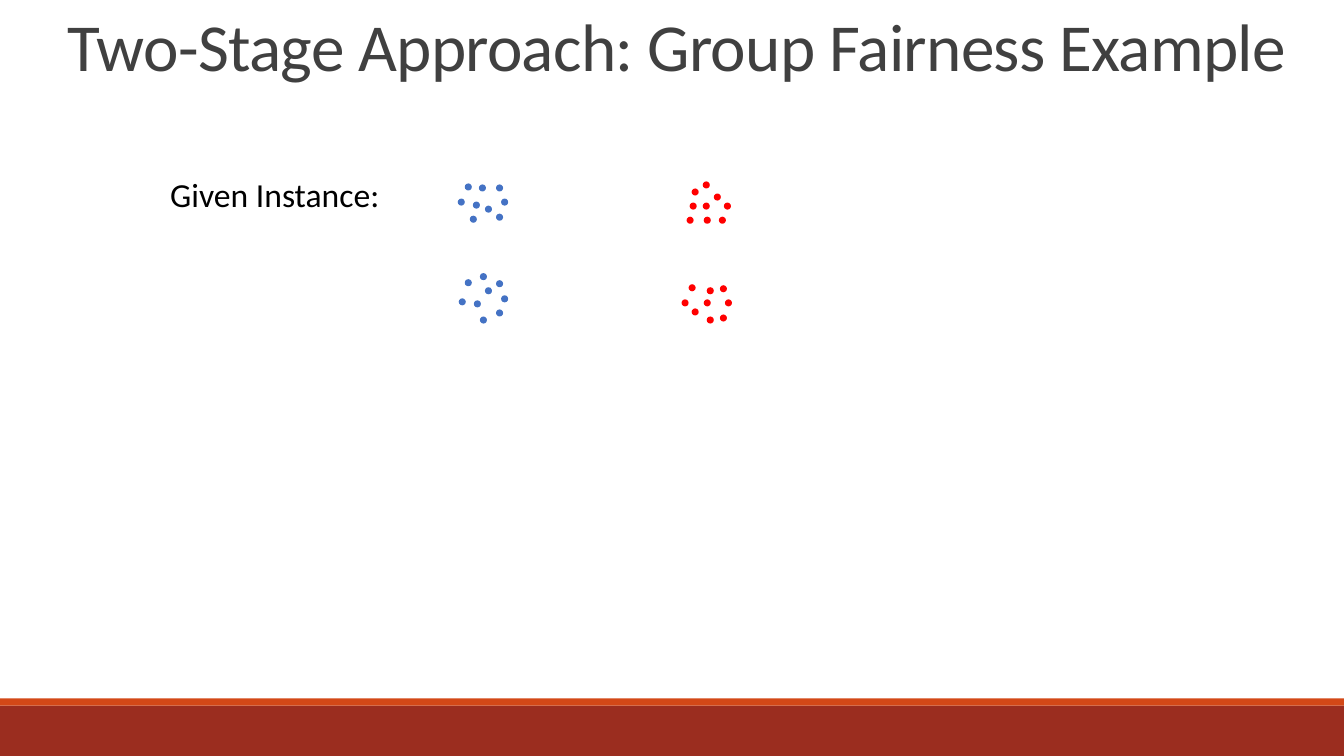
from pptx import Presentation
from pptx.dml.color import RGBColor
from pptx.enum.shapes import MSO_SHAPE
from pptx.enum.text import MSO_ANCHOR, MSO_AUTO_SIZE, PP_ALIGN
from pptx.util import Pt

RECT, OVAL = MSO_SHAPE.RECTANGLE, MSO_SHAPE.OVAL
BOTTOM, LEFT = MSO_ANCHOR.BOTTOM, PP_ALIGN.LEFT
FIXED, GROW = MSO_AUTO_SIZE.NONE, MSO_AUTO_SIZE.SHAPE_TO_FIT_TEXT

BRICK = RGBColor(0x9B, 0x2D, 0x1F)
ORANGE = RGBColor(0xD3, 0x48, 0x17)
GREY = RGBColor(0x40, 0x40, 0x40)
BLACK = RGBColor(0, 0, 0)
RED = RGBColor(0xFF, 0, 0)
BLUE = RGBColor(0x44, 0x72, 0xC4)

SCALE = 9144
WIDE, HIGH = 1333, 750
DOT = 7

CLOUDS = [
    (RED, [(681, 215), (698, 215), (686, 187), (684, 201), (713, 215),
           (718, 201), (708, 192), (697, 180), (697, 201)]),
    (BLUE, [(466, 214), (481, 204), (461, 182), (454, 197), (492, 212),
            (497, 197), (492, 183), (475, 183), (469, 200)]),
    (BLUE, [(455, 296), (476, 314), (461, 277), (470, 298), (492, 307),
            (497, 293), (492, 278), (476, 271), (481, 285)]),
    (RED, [(686, 306), (701, 314), (683, 282), (676, 297), (714, 312),
           (719, 297), (714, 283), (701, 285), (698, 297)]),
]


class Deck:
    """Holds the style and the current slide, and draws each kind of element."""

    font = "Calibri"

    def __init__(self):
        self.file = Presentation()
        self.file.slide_width = WIDE * SCALE
        self.file.slide_height = HIGH * SCALE
        self.slide = self.file.slides.add_slide(self.file.slide_layouts[5])

    def letter(self, box, text, size, color, fit):
        frame = box.text_frame
        frame.text = text
        frame.word_wrap = True
        frame.auto_size = fit
        para = frame.paragraphs[0]
        para.alignment = LEFT
        run = para.runs[0]
        run.font.name = self.font
        run.font.size = Pt(size)
        run.font.color.rgb = color
        return para

    def title(self, text, x, y, w, h):
        box = self.slide.shapes.title
        box.left, box.top = x * SCALE, y * SCALE
        box.width, box.height = w * SCALE, h * SCALE
        para = self.letter(box, text, 48, GREY, FIXED)
        box.text_frame.vertical_anchor = BOTTOM
        para.line_spacing = 0.85
        para.runs[0]._r.get_or_add_rPr().set("spc", "-50")

    def label(self, text, x, y, w, h):
        area = [n * SCALE for n in (x, y, w, h)]
        box = self.slide.shapes.add_textbox(*area)
        self.letter(box, text, 24, BLACK, GROW)

    def shape(self, kind, x, y, w, h, color, group=None):
        home = group or self.slide
        area = [n * SCALE for n in (x, y, w, h)]
        item = home.shapes.add_shape(kind, *area)
        item.shadow.inherit = False
        item.fill.solid()
        item.fill.fore_color.rgb = color
        item.line.fill.background()

    def cloud(self, color, dots):
        group = self.slide.shapes.add_group_shape()
        for x, y in dots:
            self.shape(OVAL, x, y, DOT, DOT, color, group)


def main():
    deck = Deck()
    deck.shape(RECT, 0, 700, WIDE, 50, BRICK)
    deck.shape(RECT, 0, 693, WIDE, 7, ORANGE)
    deck.title("Two-Stage Approach: Group Fairness Example", 57, -69, 1324, 159)
    deck.label("Given Instance:", 159, 168, 346, 50)
    for color, dots in CLOUDS:
        deck.cloud(color, dots)
    deck.file.save("out.pptx")


if __name__ == "__main__":
    main()
